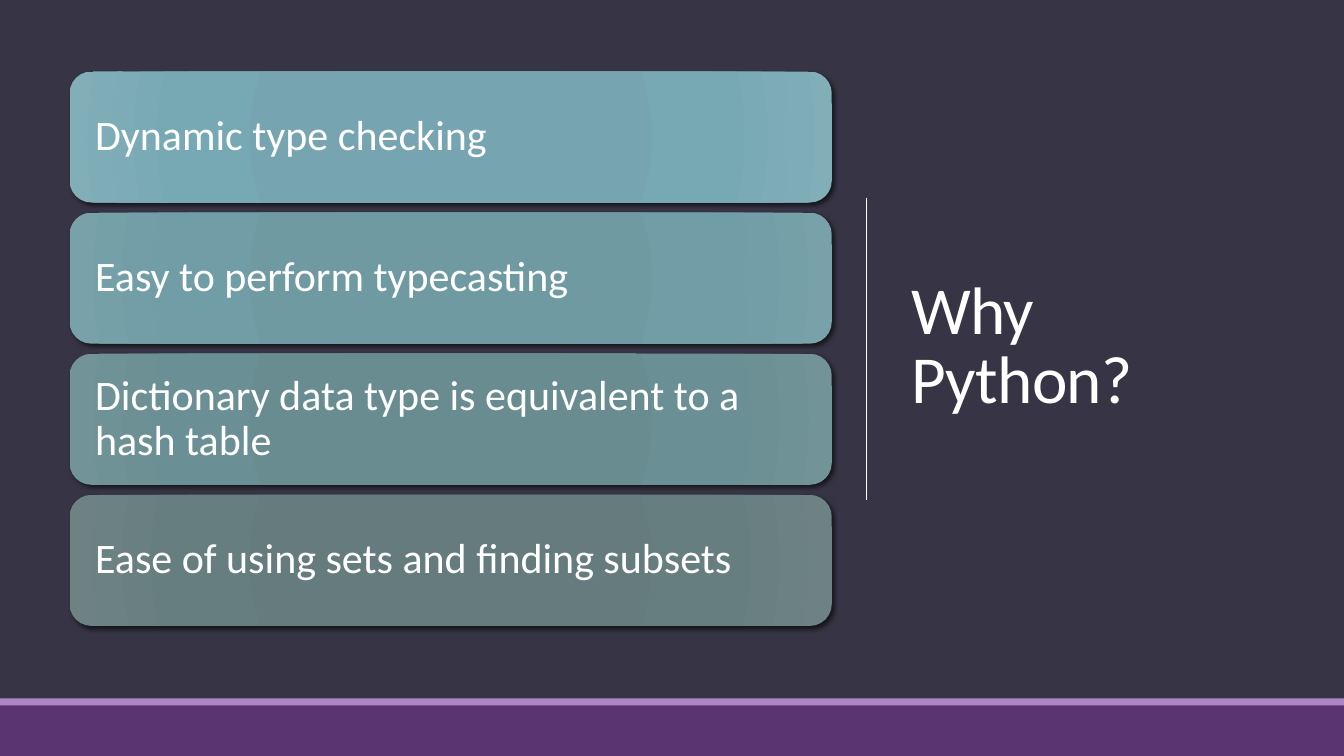
from pptx import Presentation
from pptx.dml.color import RGBColor
from pptx.enum import shapes, text
from pptx.oxml import parse_xml
from pptx.oxml.ns import nsdecls, qn
from pptx.util import Inches, Pt

# Content: each reason with its gradient colours, centre to edge
TITLE = "Why Python?"
REASONS = [
    ("Dynamic type checking", ("74A4B1", "76A5B1", "77A9B5", "82AEB8")),
    ("Easy to perform typecasting", ("6D99A1", "6F9AA2", "709DA6", "79A1A9")),
    ("Dictionary data type is equivalent to a hash table",
     ("678B91", "698C91", "6A8F94", "729398")),
    ("Ease of using sets and finding subsets",
     ("657A7D", "667B7E", "677E80", "6E8284")),
]
STOPS = (0, 34, 70, 100)

FONT = "Calibri"
WHITE = RGBColor(0xFF, 0xFF, 0xFF)
SLATE = RGBColor(0x37, 0x35, 0x45)
LILAC = RGBColor(0xAD, 0x84, 0xC6)
PURPLE = RGBColor(0x5A, 0x34, 0x71)

# Layout in inches
SLIDE_W, SLIDE_H = 13.33, 7.5
CARD_X, CARD_Y, CARD_W, CARD_H, CARD_STEP = 0.69, 0.71, 7.56, 1.3, 1.4
CARD_INSET = 0.19
BANDS = [(6.93, 0.07, LILAC), (7, 0.5, PURPLE)]


def set_text(s, words, size, spacing, inset):
    tf = s.text_frame
    tf.word_wrap = True
    tf.vertical_anchor = text.MSO_ANCHOR.MIDDLE
    tf.margin_left = tf.margin_right = Inches(inset)
    p = tf.paragraphs[0]
    p.text = words
    p.alignment = text.PP_ALIGN.LEFT
    p.line_spacing = spacing
    p.font.name, p.font.size, p.font.color.rgb = FONT, Pt(size), WHITE
    return p


def add_band(slide, y, height, color):
    s = slide.shapes.add_shape(shapes.MSO_SHAPE.RECTANGLE, 0, Inches(y),
                               Inches(SLIDE_W), Inches(height))
    s.shadow.inherit = False
    s.fill.solid()
    s.fill.fore_color.rgb = color
    s.line.fill.background()


def add_card(slide, y, words, colors):
    s = slide.shapes.add_shape(shapes.MSO_SHAPE.ROUNDED_RECTANGLE, Inches(CARD_X),
                               Inches(y), Inches(CARD_W), Inches(CARD_H))
    s.line.fill.background()
    s.shadow.inherit = False
    set_text(s, words, 30, 0.9, CARD_INSET)

    # Radial gradient and soft shadow
    stops = "".join(f'<a:gs pos="{pos * 1000}"><a:srgbClr val="{color}"/></a:gs>'
                    for pos, color in zip(STOPS, colors))
    s.fill.background()
    spPr = s._element.spPr
    spPr.replace(spPr.find(qn("a:noFill")), parse_xml(
        f'<a:gradFill {nsdecls("a")} rotWithShape="1"><a:gsLst>{stops}</a:gsLst>'
        '<a:path path="circle"><a:fillToRect l="100000" t="100000" r="100000" '
        'b="100000"/></a:path></a:gradFill>'))
    spPr.find(qn("a:effectLst")).append(parse_xml(
        f'<a:outerShdw {nsdecls("a")} blurRad="{Pt(3)}" dist="{Pt(2)}" '
        'dir="2700000" rotWithShape="0"><a:srgbClr val="000000">'
        '<a:alpha val="60000"/></a:srgbClr></a:outerShdw>'))


def main():
    prs = Presentation()
    prs.slide_width, prs.slide_height = Inches(SLIDE_W), Inches(SLIDE_H)
    slide = prs.slides.add_slide(prs.slide_layouts[6])
    slide.background.fill.solid()
    slide.background.fill.fore_color.rgb = SLATE

    # Title and divider
    s = slide.shapes.add_textbox(Inches(8.94), Inches(0.69), Inches(3.69), Inches(5.53))
    p = set_text(s, TITLE, 48, 0.85, 0.1)
    p.runs[0].font._element.set("spc", "-50")
    divider = slide.shapes.add_connector(shapes.MSO_CONNECTOR.STRAIGHT, Inches(8.59),
                                         Inches(1.96), Inches(8.59), Inches(4.96))
    divider.line.color.rgb = WHITE
    divider.line.width = Pt(0.5)
    divider._element.spPr.append(parse_xml(f'<a:effectLst {nsdecls("a")}/>'))

    # Footer bands
    for band in BANDS:
        add_band(slide, *band)

    # Reason cards
    for i, (words, colors) in enumerate(REASONS):
        add_card(slide, CARD_Y + i * CARD_STEP, words, colors)

    prs.save("out.pptx")


if __name__ == "__main__":
    main()
